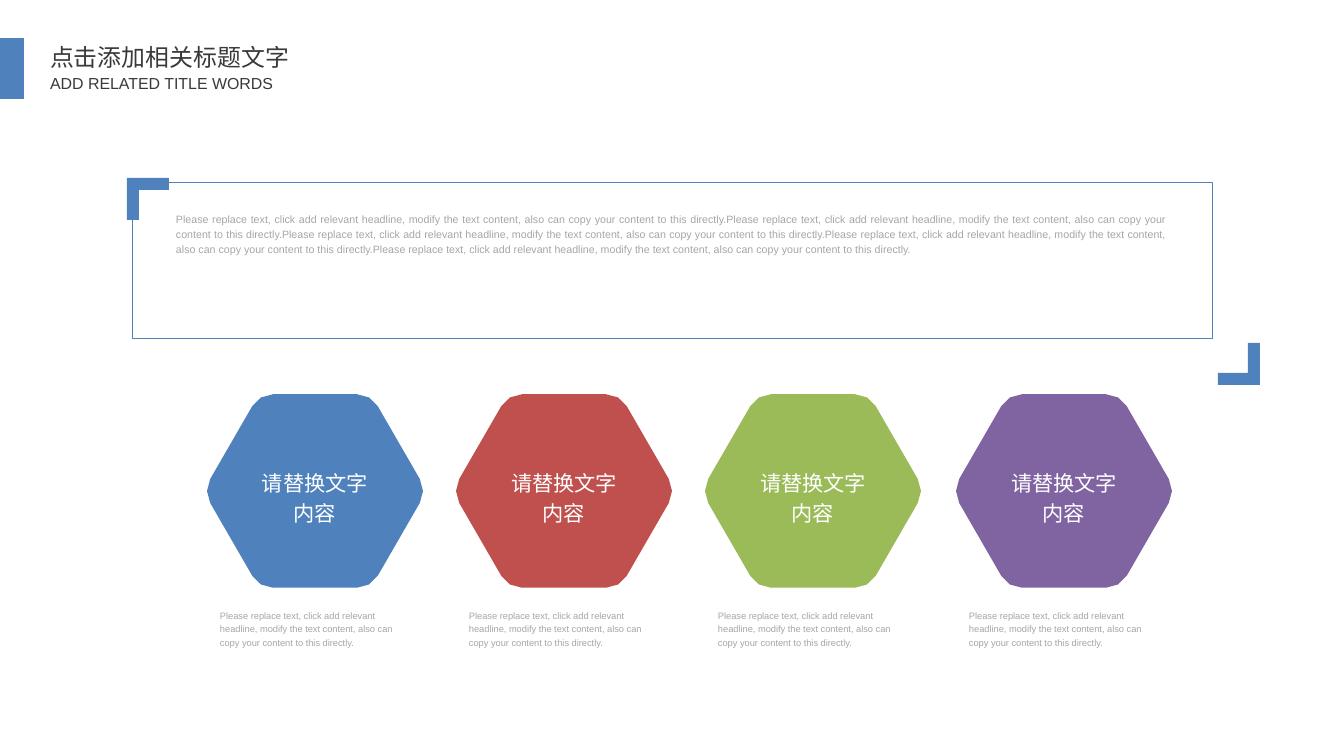
from dataclasses import dataclass
from math import cos, radians, sin

from lxml import etree
from pptx import Presentation
from pptx.dml.color import RGBColor
from pptx.enum.shapes import MSO_SHAPE
from pptx.enum.text import MSO_ANCHOR, PP_ALIGN
from pptx.oxml.ns import qn
from pptx.util import Emu, Pt

RECTANGLE = MSO_SHAPE.RECTANGLE
TOP = MSO_ANCHOR.TOP
LEFT, CENTER, JUSTIFY = PP_ALIGN.LEFT, PP_ALIGN.CENTER, PP_ALIGN.JUSTIFY
PX = 9565


@dataclass(frozen=True)
class Theme:
    blue: str = "4F81BD"
    red: str = "C0504D"
    green: str = "9BBB59"
    purple: str = "8064A2"
    title: str = "3B3838"
    body: str = "A6A6A6"
    white: str = "FFFFFF"
    latin: str = "Arial"
    chinese: str = "Noto Sans CJK SC"
    title_size: int = 18
    label_size: int = 16
    subtitle_size: int = 12
    intro_size: int = 8
    caption_size: int = 7
    frame_width: float = 0.25


theme = Theme()
presentation = Presentation()
presentation.slide_width = Emu(1344 * PX)
presentation.slide_height = Emu(756 * PX)
slide = presentation.slides.add_slide(presentation.slide_layouts[6])


def add_text(box, text, size, color, font=theme.latin, align=LEFT, inset=(0, 0), spacing=1.2, wrap=True):
    frame = slide.shapes.add_textbox(*[Emu(value * PX) for value in box]).text_frame
    frame.word_wrap = wrap
    frame.vertical_anchor = TOP
    frame.margin_left = frame.margin_right = Emu(inset[0] * PX)
    frame.margin_top = frame.margin_bottom = Emu(inset[1] * PX)
    paragraph = frame.paragraphs[0]
    paragraph.alignment = align
    paragraph.line_spacing = spacing
    run = paragraph.add_run()
    run.text = text
    run.font.size = Pt(size)
    run.font.name = font
    run.font.color.rgb = RGBColor.from_string(color)
    east_asian = etree.SubElement(run.font._element, qn("a:ea"))
    east_asian.set("typeface", theme.chinese)


def add_outline(points, color):
    scaled = [(round(x * PX), round(y * PX)) for x, y in points]
    builder = slide.shapes.build_freeform(*scaled[0])
    builder.add_line_segments(scaled[1:], close=True)
    shape = builder.convert_to_shape()
    shape.shadow.inherit = False
    shape.fill.solid()
    shape.fill.fore_color.rgb = RGBColor.from_string(color)
    shape.line.fill.background()


SENTENCE = "Please replace text, click add relevant headline, modify the text content, also can copy your content to this directly."

title_bar = slide.shapes.add_shape(RECTANGLE, 0, 38 * PX, 24 * PX, 61 * PX)
title_bar.shadow.inherit = False
title_bar.fill.solid()
title_bar.fill.fore_color.rgb = RGBColor.from_string(theme.blue)
title_bar.line.fill.background()

intro_frame = slide.shapes.add_shape(RECTANGLE, 132 * PX, 182 * PX, 1080 * PX, 156 * PX)
intro_frame.shadow.inherit = False
intro_frame.fill.background()
intro_frame.line.color.rgb = RGBColor.from_string(theme.blue)
intro_frame.line.width = Pt(theme.frame_width)

add_text((176, 210, 992, 43), SENTENCE * 5, theme.intro_size, theme.body, align=JUSTIFY)

BRACKET = [(0, 0), (42, 0), (42, 12), (12, 12), (12, 42), (0, 42)]
for corner_x, corner_y, direction in [(127, 178, 1), (1260, 385, -1)]:
    add_outline([(corner_x + direction * x, corner_y + direction * y) for x, y in BRACKET], theme.blue)

HEXAGON_Y = 491
CORNER_DISTANCE = 84
CORNER_RADIUS = 24
hexagon = [
    (
        CORNER_DISTANCE * cos(radians(corner)) + CORNER_RADIUS * cos(radians(corner + turn)),
        CORNER_DISTANCE * sin(radians(corner)) + CORNER_RADIUS * sin(radians(corner + turn)),
    )
    for corner in range(0, 360, 60)
    for turn in (-30, 0, 30)
]

columns = [(315, theme.blue), (564, theme.red), (813, theme.green), (1064, theme.purple)]
for center_x, color in columns:
    add_outline([(center_x + x, HEXAGON_Y + y) for x, y in hexagon], color)
    add_text((center_x - 60, 465, 120, 56), "请替换文字内容", theme.label_size, theme.white, align=CENTER)
    add_text((center_x - 105, 603, 208, 47), SENTENCE, theme.caption_size, theme.body, inset=(10, 5))

add_text((40, 38, 262, 39), "点击添加相关标题文字", theme.title_size, theme.title,
         font=theme.chinese, inset=(10, 5), spacing=1.0, wrap=False)
add_text((40, 69, 244, 30), "ADD RELATED TITLE WORDS", theme.subtitle_size, theme.title,
         inset=(10, 5), spacing=1.0, wrap=False)

presentation.save("out.pptx")
